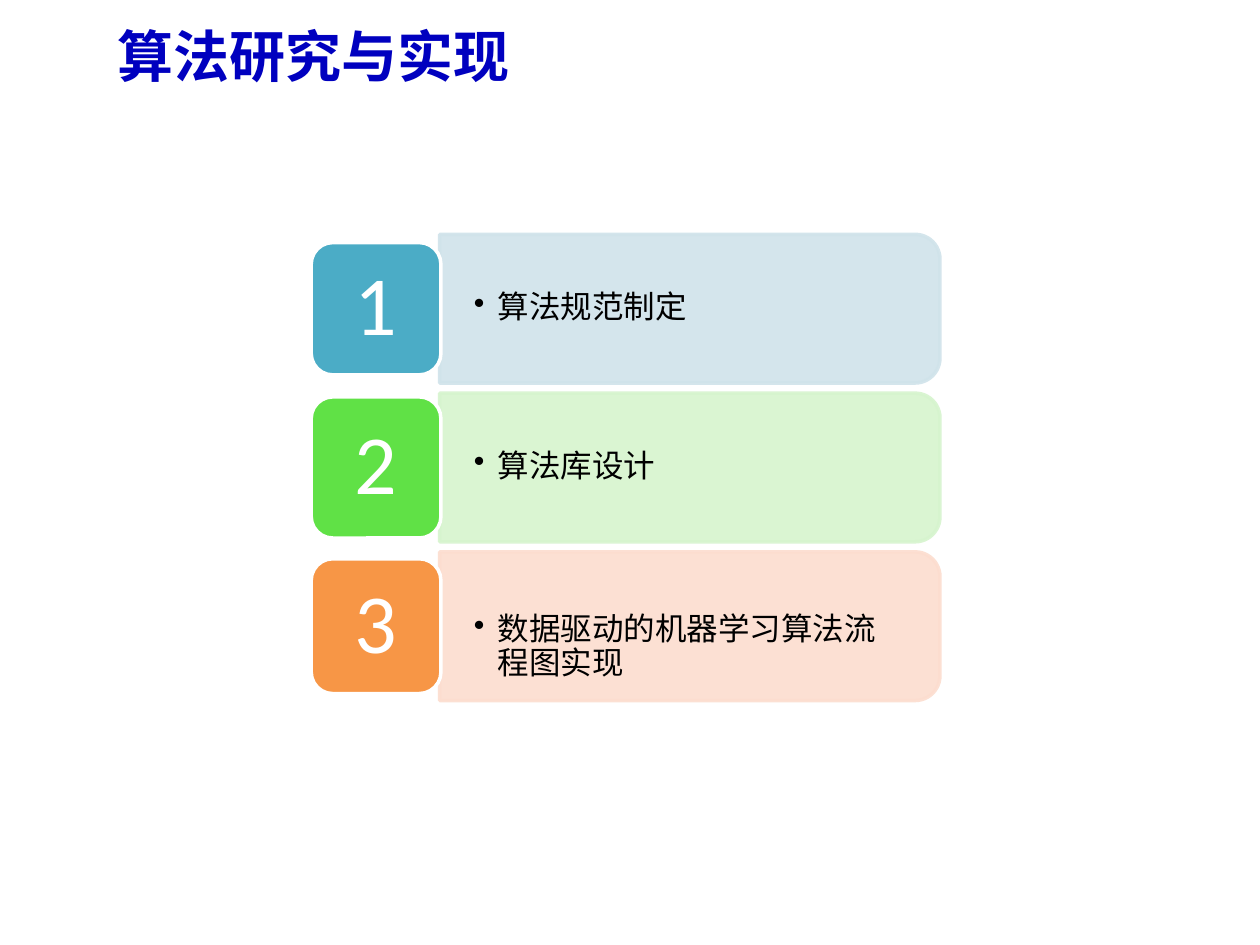
from dataclasses import dataclass

from lxml import etree
from pptx import Presentation
from pptx.dml.color import RGBColor
from pptx.enum.shapes import MSO_SHAPE
from pptx.enum.text import MSO_ANCHOR, MSO_AUTO_SIZE, PP_ALIGN
from pptx.oxml.ns import qn
from pptx.util import Inches, Pt

ROUND_TOP = MSO_SHAPE.ROUND_2_SAME_RECTANGLE
ROUND_ALL = MSO_SHAPE.ROUNDED_RECTANGLE
MIDDLE = MSO_ANCHOR.MIDDLE
LEFT, CENTER = PP_ALIGN.LEFT, PP_ALIGN.CENTER

# Content: text, tile colour, panel colour, tile height, extra top inset
TITLE = "算法研究与实现"
STEPS = [
    ("算法规范制定", "4BACC6", "D0E3EA", 1.05, 0),
    ("算法库设计", "60E146", "D6F4CE", 1.12, 0),
    ("数据驱动的机器学习算法流程图实现", "F79646", "FCDDCF", 1.07, 0.34),
]


@dataclass(frozen=True)
class Theme:
    latin: str = "Calibri"
    chinese: str = "Noto Sans CJK SC"
    title: str = "0000BF"
    text: str = "000000"
    light: str = "FFFFFF"
    title_size: int = 32
    number_size: int = 48
    body_size: int = 18
    line_width: int = 2
    panel_opacity: int = 90


THEME = Theme()

# Grid in inches
SLIDE_WIDTH, SLIDE_HEIGHT = 10, 7.5
TILE_LEFT, TILE_WIDTH = 2.47, 1.03
PANEL_LEFT, PANEL_WIDTH, PANEL_HEIGHT = 3.49, 3.97, 1.18
TEXT_WIDTH, TEXT_HEIGHT = 3.92, 1.07
ROWS_CENTER, ROW_PITCH = 3.71, 1.26
HANGING = 0.19


def write(frame, text, *, size, color, font=THEME.latin, bold=False,
          align=LEFT, spacing=None, insets=None, bullet=False):
    frame.word_wrap = True
    frame.auto_size = MSO_AUTO_SIZE.NONE
    frame.vertical_anchor = MIDDLE
    if insets:
        (frame.margin_left, frame.margin_top,
         frame.margin_right, frame.margin_bottom) = map(Inches, insets)
    para = frame.paragraphs[0]
    para.alignment = align
    if spacing:
        para.line_spacing = spacing
    if bullet:
        para.level = 1
        properties = para._p.get_or_add_pPr()
        properties.set("marL", str(Inches(HANGING)))
        properties.set("indent", str(-Inches(HANGING)))
        etree.SubElement(properties, qn("a:buChar"), char="•")
    span = para.add_run()
    span.text = text
    span.font.name = font
    span.font.size = Pt(size)
    span.font.bold = bold
    span.font.color.rgb = RGBColor.from_string(color)
    etree.SubElement(span._r.get_or_add_rPr(), qn("a:ea"), typeface=THEME.chinese)


def add_block(page, kind, left, top, width, height, fill, line, opacity=100):
    block = page.shapes.add_shape(kind, *map(Inches, (left, top, width, height)))
    block.shadow.inherit = False
    block.fill.solid()
    block.fill.fore_color.rgb = RGBColor.from_string(fill)
    block.line.color.rgb = RGBColor.from_string(line)
    block.line.width = Pt(THEME.line_width)
    if opacity < 100:
        for color in block._element.spPr.iter(qn("a:srgbClr")):
            etree.SubElement(color, qn("a:alpha"), val=str(opacity * 1000))
    return block


def add_step(page, number, middle, text, tile_color, panel_color, tile_height, extra):
    # Panel, turned so that its rounded end faces right
    panel = add_block(page, ROUND_TOP,
                      PANEL_LEFT + (PANEL_WIDTH - PANEL_HEIGHT) / 2,
                      middle - PANEL_WIDTH / 2, PANEL_HEIGHT, PANEL_WIDTH,
                      panel_color, panel_color, THEME.panel_opacity)
    panel.rotation = 90

    # Bullet text
    box = page.shapes.add_textbox(*map(Inches, (
        PANEL_LEFT, middle - TEXT_HEIGHT / 2, TEXT_WIDTH, TEXT_HEIGHT)))
    write(box.text_frame, text, size=THEME.body_size, color=THEME.text,
          spacing=0.9, insets=(0.27, 0.14 + extra, 0.27, 0.14), bullet=True)

    # Numbered tile
    tile = add_block(page, ROUND_ALL, TILE_LEFT, middle - tile_height / 2,
                     TILE_WIDTH, tile_height, tile_color, THEME.light)
    write(tile.text_frame, str(number), size=THEME.number_size, color=THEME.light,
          align=CENTER, spacing=0.9, insets=(0.2, 0.1, 0.2, 0.1))


def main():
    deck = Presentation()
    deck.slide_width, deck.slide_height = Inches(SLIDE_WIDTH), Inches(SLIDE_HEIGHT)
    page = deck.slides.add_slide(deck.slide_layouts[5])

    # Title
    title = page.shapes.title
    title.left, title.top, title.width, title.height = map(Inches, (0.83, 0, 9, 0.87))
    write(title.text_frame, TITLE, size=THEME.title_size, color=THEME.title,
          font=THEME.chinese, bold=True)

    # Steps, spread evenly around the middle row
    for index, step in enumerate(STEPS):
        middle = ROWS_CENTER + (index - (len(STEPS) - 1) / 2) * ROW_PITCH
        add_step(page, index + 1, middle, *step)

    deck.save("out.pptx")


if __name__ == "__main__":
    main()
